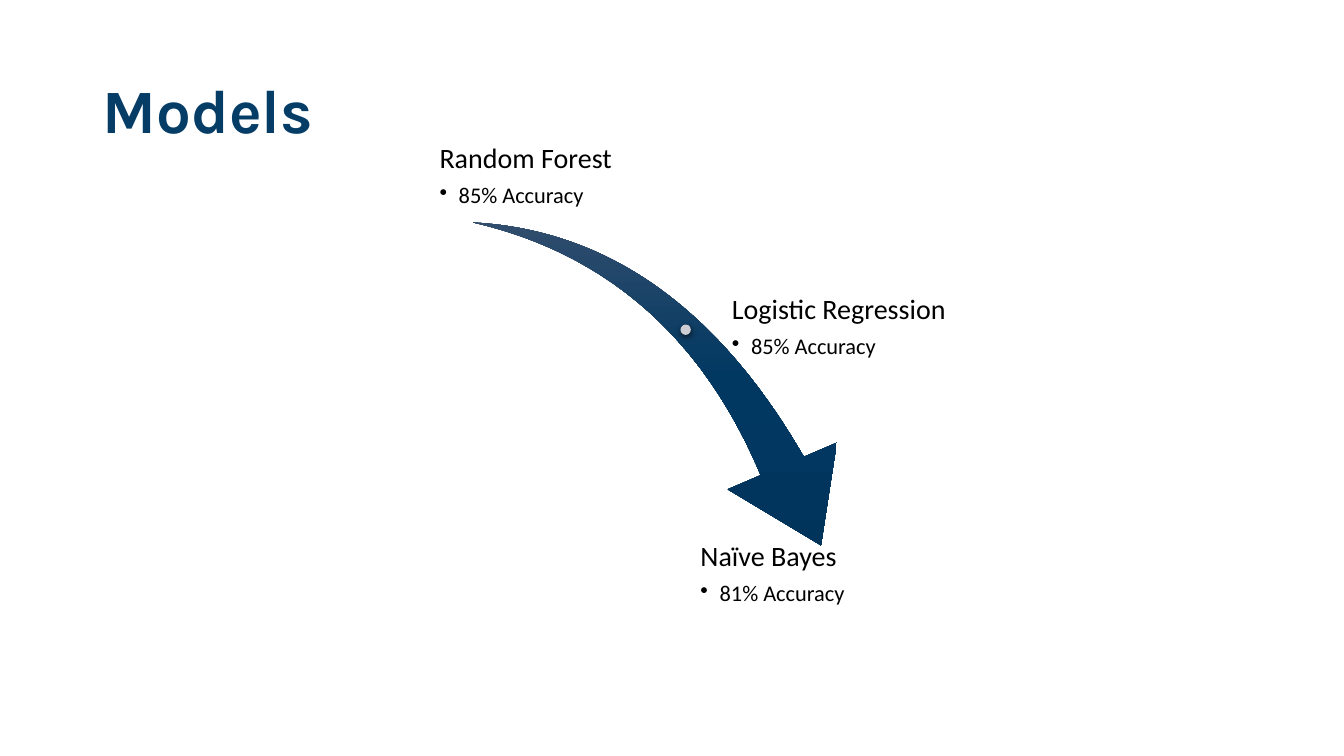
from dataclasses import dataclass

from lxml import etree
from pptx import Presentation
from pptx.dml.color import RGBColor
from pptx.enum.shapes import MSO_SHAPE
from pptx.enum.text import MSO_ANCHOR, PP_ALIGN
from pptx.oxml import parse_xml
from pptx.oxml.ns import nsdecls, qn
from pptx.shapes.autoshape import Shape
from pptx.slide import Slide
from pptx.util import Emu, Inches, Pt

SWOOSH, OVAL = MSO_SHAPE.SWOOSH_ARROW, MSO_SHAPE.OVAL
LEFT, TOP, MIDDLE = PP_ALIGN.LEFT, MSO_ANCHOR.TOP, MSO_ANCHOR.MIDDLE

WIDTH, HEIGHT = Inches(13.333), Inches(7.5)
BLACK = RGBColor(0x00, 0x00, 0x00)
TITLE_BLUE = RGBColor(0x06, 0x3D, 0x67)
DOT_GREY = RGBColor(0xCC, 0xCE, 0xD3)
ARROW_STOPS = {
    0: RGBColor(0x4B, 0x59, 0x73),
    50: RGBColor(0x01, 0x38, 0x62),
    100: RGBColor(0x00, 0x32, 0x58),
}
INSET = Inches(0.03)
BULLET_INDENT = Inches(0.19)
LABEL_FRAME = {
    "word_wrap": True, "vertical_anchor": TOP,
    "margin_left": INSET, "margin_right": INSET,
    "margin_top": INSET, "margin_bottom": INSET,
}


@dataclass(frozen=True)
class Area:
    """A rectangle in percent of the slide's width and height."""
    left: float
    top: float
    width: float
    height: float

    def lengths(self) -> tuple[Emu, Emu, Emu, Emu]:
        return (Emu(int(WIDTH * self.left / 100)), Emu(int(HEIGHT * self.top / 100)),
                Emu(int(WIDTH * self.width / 100)), Emu(int(HEIGHT * self.height / 100)))


@dataclass(frozen=True)
class Model:
    name: str
    accuracy: str
    area: Area


TITLE_AREA = Area(6.88, 5.33, 86.25, 19.33)
ARROW_AREA = Area(34.5, 31.07, 30.45, 37.73)
DOT_AREA = Area(50.63, 42.93, 0.77, 1.37)
MODELS = (
    Model("Random Forest", "85% Accuracy", Area(32.48, 18.67, 14.33, 10)),
    Model("Logistic Regression", "85% Accuracy", Area(54.23, 38.67, 17.1, 10)),
    Model("Naïve Bayes", "81% Accuracy", Area(51.9, 71.33, 19.43, 10)),
)


def apply(target: object, formats: dict[str, object]) -> None:
    for name, value in formats.items():
        setattr(target, name, value)


def write(para, text: str, font: str, size: int, color: RGBColor, bold: bool = False) -> None:
    apply(para, {"alignment": LEFT, "line_spacing": 0.9})
    span = para.add_run()
    span.text = text
    apply(span.font, {"name": font, "size": Pt(size), "bold": bold})
    span.font.color.rgb = color


def set_space_after(para, percent: int) -> None:
    """Sets paragraph spacing as a share of the text size."""
    spacing = etree.SubElement(para._p.get_or_add_pPr(), qn("a:spcAft"))
    etree.SubElement(spacing, qn("a:spcPct")).set("val", str(percent * 1000))


def add_bullet(para) -> None:
    properties = para._p.get_or_add_pPr()
    properties.set("marL", str(BULLET_INDENT))
    properties.set("indent", str(-BULLET_INDENT))
    etree.SubElement(properties, qn("a:buChar")).set("char", "•")


def add_title(page: Slide, text: str) -> None:
    title = page.shapes.title
    apply(title, dict(zip(("left", "top", "width", "height"), TITLE_AREA.lengths())))
    title.text_frame.vertical_anchor = MIDDLE
    write(title.text_frame.paragraphs[0], text, "Karla", 44, TITLE_BLUE, bold=True)


def add_plain_shape(page: Slide, kind: MSO_SHAPE, area: Area) -> Shape:
    shape = page.shapes.add_shape(kind, *area.lengths())
    shape.shadow.inherit = False
    shape.line.fill.background()
    return shape


def add_arrow(page: Slide) -> None:
    arrow = add_plain_shape(page, SWOOSH, ARROW_AREA)
    arrow.rotation = 73.3
    arrow.adjustments[0], arrow.adjustments[1] = 0.163, 0.314
    stops = "".join(f'<a:gs pos="{share * 1000}"><a:srgbClr val="{color}"/></a:gs>'
                    for share, color in ARROW_STOPS.items())
    gradient = parse_xml(
        f'<a:gradFill {nsdecls("a")} rotWithShape="0"><a:gsLst>{stops}</a:gsLst>'
        '<a:lin ang="5400000" scaled="0"/></a:gradFill>')
    arrow._element.spPr.find(qn("a:prstGeom")).addnext(gradient)


def add_dot(page: Slide) -> None:
    dot = add_plain_shape(page, OVAL, DOT_AREA)
    dot.fill.solid()
    dot.fill.fore_color.rgb = DOT_GREY
    dot._element.spPr.find(qn("a:effectLst")).append(parse_xml(
        f'<a:outerShdw {nsdecls("a")} blurRad="{Pt(4.5)}" dist="{Pt(1.5)}" dir="5400000" '
        f'rotWithShape="0"><a:srgbClr val="{BLACK}"><a:alpha val="63000"/></a:srgbClr>'
        '</a:outerShdw>'))


def add_model(page: Slide, model: Model) -> None:
    frame = page.shapes.add_textbox(*model.area.lengths()).text_frame
    apply(frame, LABEL_FRAME)
    heading, detail = frame.paragraphs[0], frame.add_paragraph()
    write(heading, model.name, "Calibri", 20, BLACK)
    set_space_after(heading, 35)
    detail.level = 1
    write(detail, model.accuracy, "Calibri", 16, BLACK)
    set_space_after(detail, 15)
    add_bullet(detail)


def main() -> None:
    deck = Presentation()
    apply(deck, {"slide_width": WIDTH, "slide_height": HEIGHT})
    page = deck.slides.add_slide(deck.slide_layouts[5])
    add_arrow(page)
    add_dot(page)
    for model in MODELS:
        add_model(page, model)
    add_title(page, "Models")
    deck.save("out.pptx")


if __name__ == "__main__":
    main()
